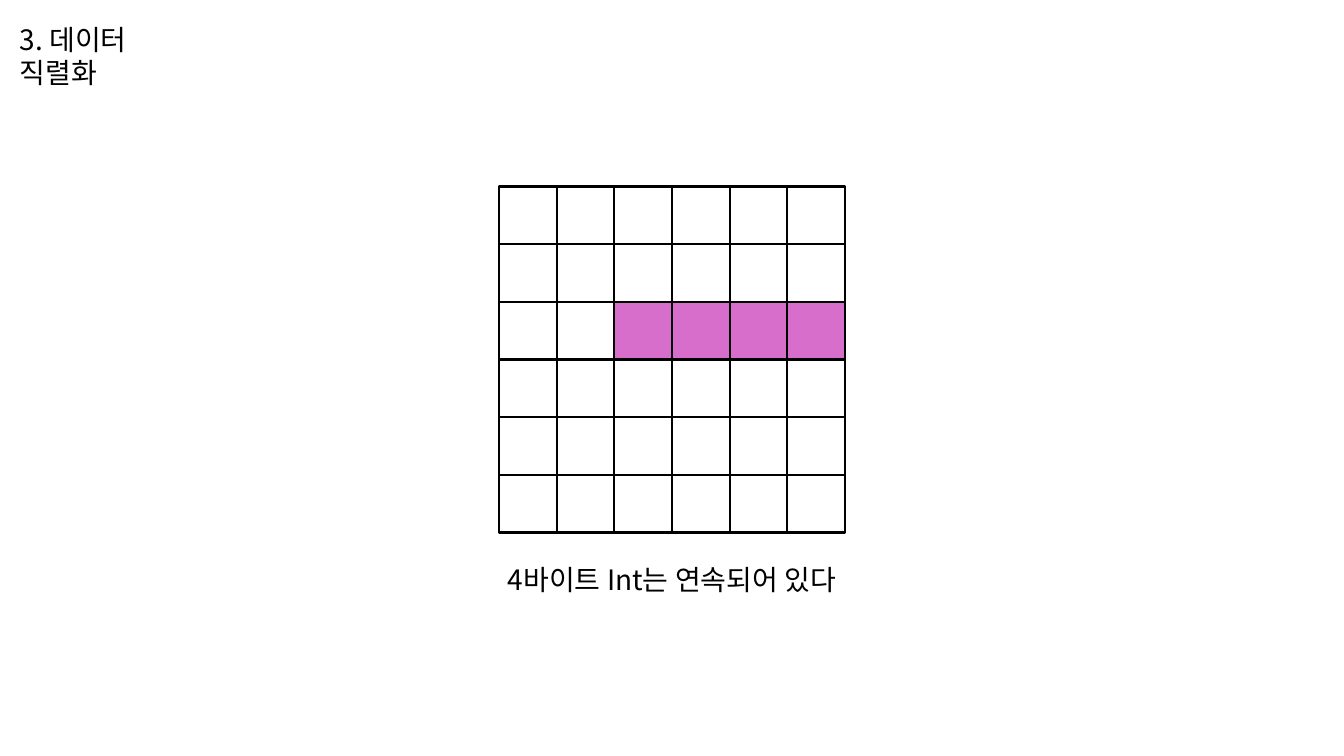
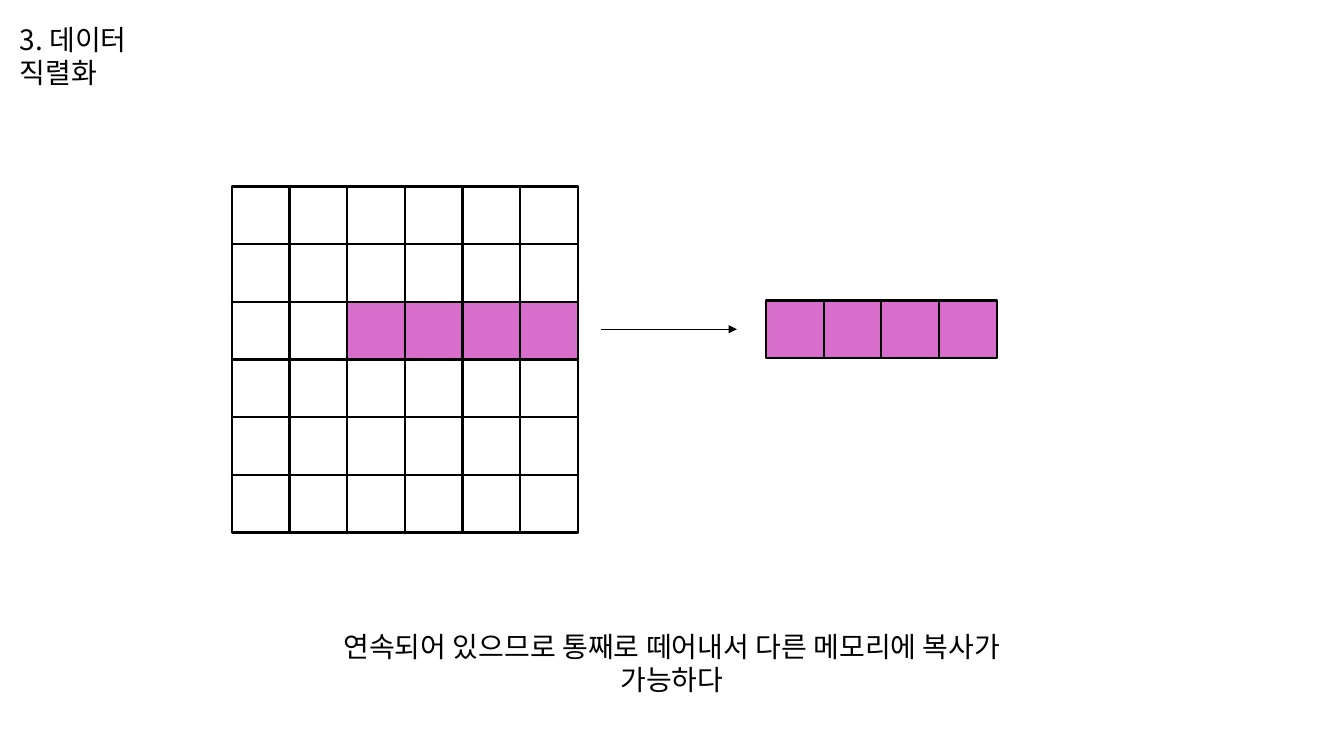
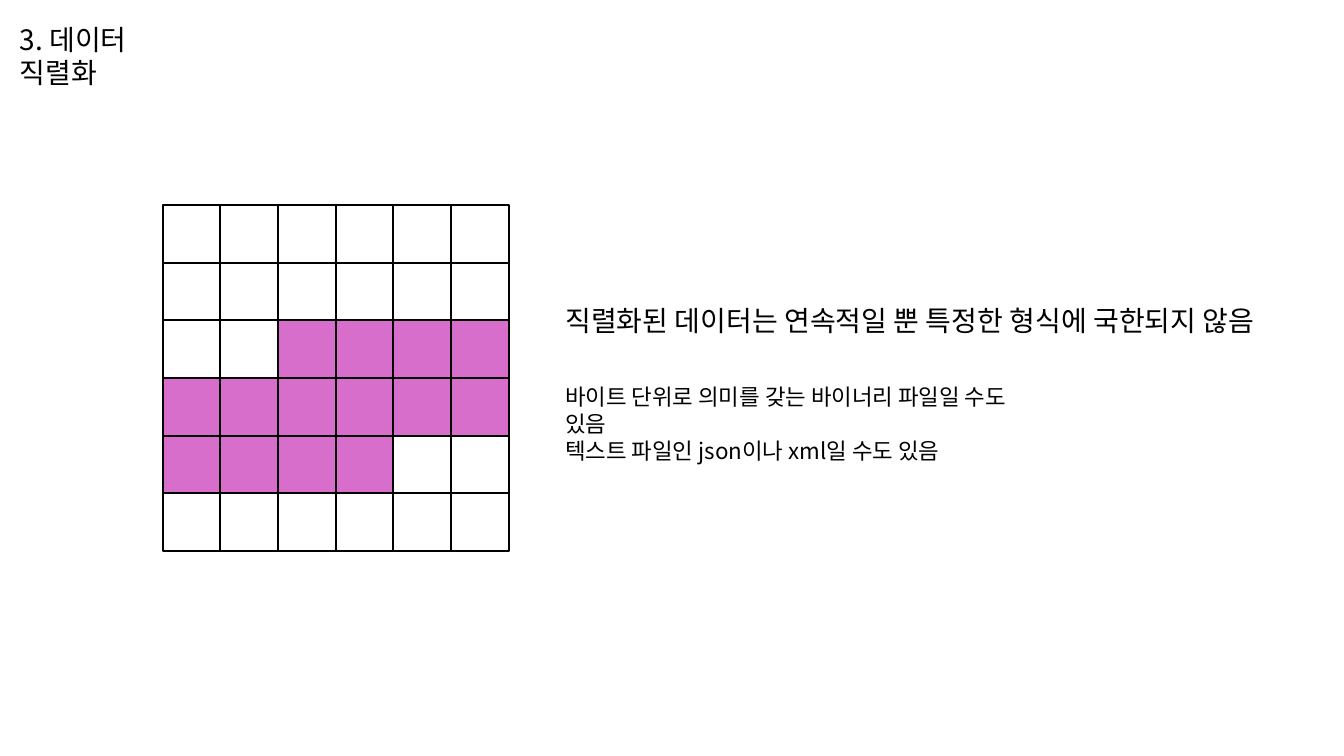
from dataclasses import dataclass

from lxml.etree import SubElement
from pptx import Presentation
from pptx.dml.color import RGBColor
from pptx.enum.shapes import MSO_CONNECTOR as Connector, MSO_SHAPE as Shape
from pptx.enum.text import MSO_ANCHOR as Anchor, MSO_AUTO_SIZE as AutoSize, PP_ALIGN as Align
from pptx.oxml.ns import qn
from pptx.util import Pt


@dataclass(frozen=True)
class Theme:
    ink: RGBColor = RGBColor(0, 0, 0)
    paper: RGBColor = RGBColor(255, 255, 255)
    data: RGBColor = RGBColor(0xD8, 0x6E, 0xCC)
    font: str = "Noto Sans CJK KR"
    heading: int = 20
    detail: int = 16
    border: float = 1.5
    cell: float = 41.2


theme = Theme()


def write(box, lines, size, align, area=None):
    if area:
        for name, value in zip(("left", "top", "width", "height"), area):
            setattr(box, name, Pt(value))
    frame = box.text_frame
    frame_format = {
        "word_wrap": True, "auto_size": AutoSize.NONE, "vertical_anchor": Anchor.TOP,
        "margin_left": Pt(7.2), "margin_right": Pt(7.2),
        "margin_top": Pt(3.6), "margin_bottom": Pt(3.6),
    }
    for name, value in frame_format.items():
        setattr(frame, name, value)
    frame.text = "\n".join(lines)
    for para in frame.paragraphs:
        para_format = {"alignment": align, "space_before": Pt(0), "line_spacing": 1.0}
        for name, value in para_format.items():
            setattr(para, name, value)
        properties = para._p.get_or_add_pPr()
        properties.set("marL", "0")
        properties.set("indent", "0")
        SubElement(properties, qn("a:buNone"))
        for span in para.runs:
            span.font.color.rgb = theme.ink
            for name, value in {"name": theme.font, "size": Pt(size)}.items():
                setattr(span.font, name, value)
            SubElement(span._r.get_or_add_rPr(), qn("a:ea"), typeface=theme.font)


def draw_memory(page, left, top, columns, rows, used):
    group = page.shapes.add_group_shape()
    for index in range(columns * rows):
        row, column = divmod(index, columns)
        cell = group.shapes.add_shape(
            Shape.RECTANGLE, Pt(left + column * theme.cell), Pt(top + row * theme.cell),
            Pt(theme.cell), Pt(theme.cell))
        cell.shadow.inherit = False
        cell.fill.solid()
        cell.fill.fore_color.rgb = theme.data if index in used else theme.paper
        cell.line.color.rgb = theme.ink
        cell.line.width = Pt(theme.border)


deck = Presentation()
deck.slide_width, deck.slide_height = Pt(960), Pt(540)
layout = deck.slide_layouts[1]

slides = [
    {"memory": (356.4, 133.2), "used": range(14, 18),
     "lines": ["4바이트 Int는 연속되어 있다"],
     "size": theme.heading, "align": Align.CENTER, "area": (353, 398, 254, 56)},
    {"memory": (165.6, 133.2), "used": range(14, 18),
     "lines": ["연속되어 있으므로 통째로 떼어내서 다른 메모리에 복사가 가능하다"],
     "size": theme.heading, "align": Align.CENTER, "area": (210, 445.7, 540, 56)},
    {"memory": (116.2, 146.4), "used": range(14, 28),
     "lines": ["바이트 단위로 의미를 갖는 바이너리 파일일 수도 있음",
               "텍스트 파일인 json이나 xml일 수도 있음"],
     "size": theme.detail, "align": Align.LEFT, "area": (396.5, 270, 350, 66)},
]

pages = []
for content in slides:
    page = deck.slides.add_slide(layout)
    pages.append(page)
    write(page.shapes.title, ["3. 데이터 직렬화"], theme.heading, Align.LEFT, (6.8, 12.3, 140, 56))
    draw_memory(page, *content["memory"], 6, 6, content["used"])
    write(page.placeholders[1], content["lines"], content["size"], content["align"], content["area"])

copy_page, format_page = pages[1:]
draw_memory(copy_page, 547.2, 214.6, 4, 1, range(4))
arrow = copy_page.shapes.add_connector(Connector.STRAIGHT, Pt(429), Pt(235.2), Pt(526.4), Pt(235.2))
arrow.line.color.rgb = theme.ink
arrow.line.width = Pt(1)
SubElement(arrow.line._get_or_add_ln(), qn("a:tailEnd"), type="triangle")
SubElement(arrow._element.spPr, qn("a:effectLst"))

headline = format_page.shapes.add_textbox(Pt(389), Pt(213), Pt(522), Pt(32))
write(headline, ["직렬화된 데이터는 연속적일 뿐 특정한 형식에 국한되지 않음"], theme.heading, Align.CENTER)

deck.save("out.pptx")
